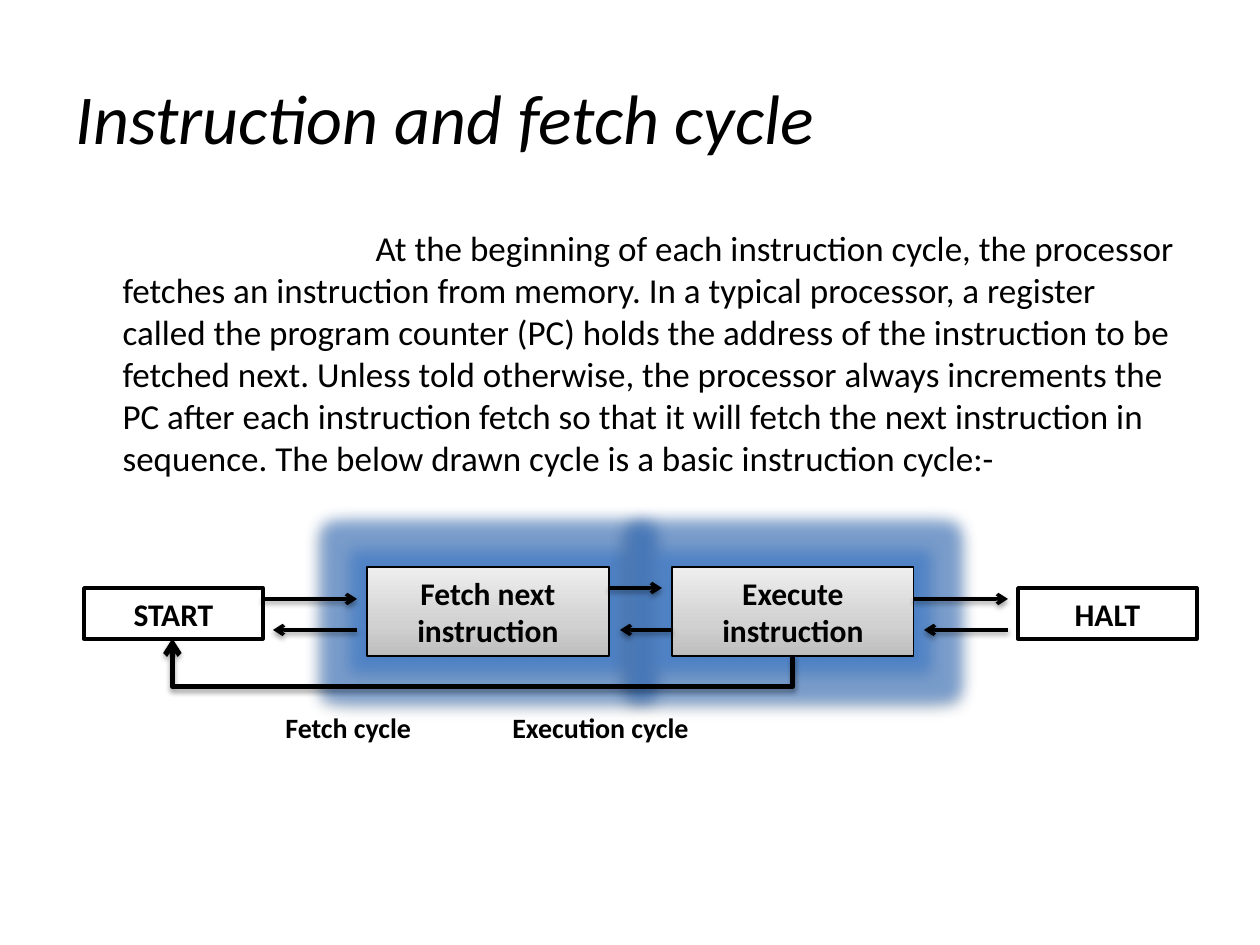
from dataclasses import dataclass

from lxml import etree
from pptx import Presentation
from pptx.dml.color import RGBColor
from pptx.enum.shapes import MSO_CONNECTOR, MSO_SHAPE
from pptx.enum.text import MSO_ANCHOR, MSO_AUTO_SIZE, PP_ALIGN
from pptx.oxml import parse_xml
from pptx.oxml.ns import qn
from pptx.util import Pt

PX = 914400 // 126
PT = 12700
STRAIGHT, ELBOW = MSO_CONNECTOR.STRAIGHT, MSO_CONNECTOR.ELBOW
RECTANGLE = MSO_SHAPE.RECTANGLE
LEFT, CENTER = PP_ALIGN.LEFT, PP_ALIGN.CENTER
TOP, MIDDLE = MSO_ANCHOR.TOP, MSO_ANCHOR.MIDDLE
NO_FIT = MSO_AUTO_SIZE.NONE
DRAWING = "http://schemas.openxmlformats.org/drawingml/2006/main"


@dataclass(frozen=True)
class Theme:
    font: str = "Calibri"
    ink: str = "000000"
    paper: str = "FFFFFF"
    glow: str = "3878CC"
    metal: tuple = ((0, "BDBDBD"), (35, "D1D1D1"), (100, "EEEEEE"))
    title: int = 40
    body: int = 20
    step: int = 18
    label: int = 16


THEME = Theme()


def px(*lengths):
    return [length * PX for length in lengths]


def drawing(markup):
    return parse_xml(markup.replace(">", f' xmlns:a="{DRAWING}">', 1))


def color(name, alpha=100):
    return f'<a:srgbClr val="{name}"><a:alpha val="{alpha * 1000}"/></a:srgbClr>'


def shadow(alpha):
    return (f'<a:outerShdw blurRad="{int(3.1 * PT)}" dist="{int(1.6 * PT)}" '
            f'dir="5400000" rotWithShape="0">{color(THEME.ink, alpha)}</a:outerShdw>')


def set_effects(shape, effects):
    properties = shape.element.spPr
    for old in properties.findall(qn("a:effectLst")):
        properties.remove(old)
    properties.append(drawing(f"<a:effectLst>{effects}</a:effectLst>"))


def set_line(shape, width):
    shape.line.color.rgb = RGBColor.from_string(THEME.ink)
    shape.line.width = Pt(width)


def write(frame, text, size, align=LEFT, anchor=MIDDLE, bold=False, italic=False):
    frame.word_wrap = True
    frame.auto_size = NO_FIT
    frame.vertical_anchor = anchor
    para = frame.paragraphs[0]
    para.alignment = align
    span = para.add_run()
    span.text = text
    font = span.font
    font.name, font.size, font.bold, font.italic = THEME.font, Pt(size), bold, italic
    font.color.rgb = RGBColor.from_string(THEME.ink)
    return para


def place(shape, *bounds):
    shape.left, shape.top, shape.width, shape.height = px(*bounds)


def add_title(page, text):
    title = page.shapes.title
    place(title, 63, 38, 1134, 157)
    write(title.text_frame, text, THEME.title, italic=True)


def add_body(page, text):
    body = page.placeholders[1]
    place(body, 63, 220, 1134, 640)
    para = write(body.text_frame, text, THEME.body, anchor=TOP)
    para.space_before = Pt(0)
    properties = para._p.get_or_add_pPr()
    properties.set("marL", str(47 * PX))
    properties.set("indent", str(253 * PX))
    etree.SubElement(properties, qn("a:buNone"))


def add_box(page, text, *bounds, width):
    box = page.shapes.add_shape(RECTANGLE, *px(*bounds))
    box.shadow.inherit = False
    box.fill.solid()
    box.fill.fore_color.rgb = RGBColor.from_string(THEME.paper)
    set_line(box, width)
    write(box.text_frame, text, THEME.step, CENTER, bold=True)
    return box


def add_terminal(page, text, left):
    return add_box(page, text, left, 588, 179, 51, width=2)


def add_stage(page, text, left):
    box = add_box(page, text, left, 567, 242, 89, width=0.75)
    stops = "".join(f'<a:gs pos="{position * 1000}">{color(name)}</a:gs>'
                    for position, name in THEME.metal)
    properties = box.element.spPr
    properties.replace(properties.find(qn("a:solidFill")), drawing(
        f'<a:gradFill><a:gsLst>{stops}</a:gsLst><a:lin ang="16200000" scaled="0"/></a:gradFill>'))
    glow = f'<a:glow rad="{18 * PT}">{color(THEME.glow, 55)}</a:glow>'
    set_effects(box, glow + shadow(38))


def finish_arrow(arrow, width, alpha):
    set_line(arrow, width)
    arrow.line._get_or_add_ln().append(drawing('<a:tailEnd type="arrow"></a:tailEnd>'))
    set_effects(arrow, shadow(alpha))


def add_arrow(page, start, end, y):
    arrow = page.shapes.add_connector(STRAIGHT, *px(start, y, end, y))
    finish_arrow(arrow, 2, 38)


def add_return_arrow(page, start, end, drop):
    (start_x, start_y), (end_x, end_y) = start, end
    depth, span = start_y - end_y, start_x - end_x
    left = (start_x + end_x - depth) // 2
    top = (start_y + end_y - span) // 2
    arrow = page.shapes.add_connector(ELBOW, *px(left, top, left + depth, top + span))
    properties = arrow.element.spPr
    properties.xfrm.set("rot", "5400000")
    properties.xfrm.set("flipH", "1")
    guides = properties.find(qn("a:prstGeom")).get_or_add_avLst()
    bend = -round(drop / depth * 100000)
    guides.append(drawing(f'<a:gd name="adj1" fmla="val {bend}"></a:gd>'))
    finish_arrow(arrow, 3, 35)


def add_cycle_labels(page, *names):
    box = page.shapes.add_textbox(*px(273, 704, 451, 47))
    para = write(box.text_frame, "\t".join(names), THEME.label, bold=True)
    para._p.get_or_add_pPr().append(drawing(
        f'<a:tabLst><a:tab pos="{227 * PX}" algn="l"/></a:tabLst>'))


def main():
    deck = Presentation()
    deck.slide_width, deck.slide_height = px(1260, 945)
    page = deck.slides.add_slide(deck.slide_layouts[1])
    add_title(page, "Instruction and fetch cycle")
    add_body(page, (
        "At the beginning of each instruction cycle, the processor fetches an instruction "
        "from memory. In a typical processor, a register called the program counter (PC) "
        "holds the address of the instruction to be fetched next. Unless told otherwise, "
        "the processor always increments the PC after each instruction fetch so that it "
        "will fetch the next instruction in sequence. The below drawn cycle is a basic "
        "instruction cycle:-"))
    add_terminal(page, "START", 84)
    add_stage(page, "Fetch next instruction", 367)
    add_stage(page, "Execute instruction", 672)
    add_terminal(page, "HALT", 1018)
    for start, end, y in ((262, 357, 599), (914, 1008, 599), (609, 662, 588),
                          (1008, 924, 630), (357, 273, 630), (672, 620, 630)):
        add_arrow(page, start, end, y)
    add_return_arrow(page, (793, 656), (173, 639), 31)
    add_cycle_labels(page, "Fetch cycle", "Execution cycle")


    deck.save("out.pptx")


if __name__ == "__main__":
    main()
